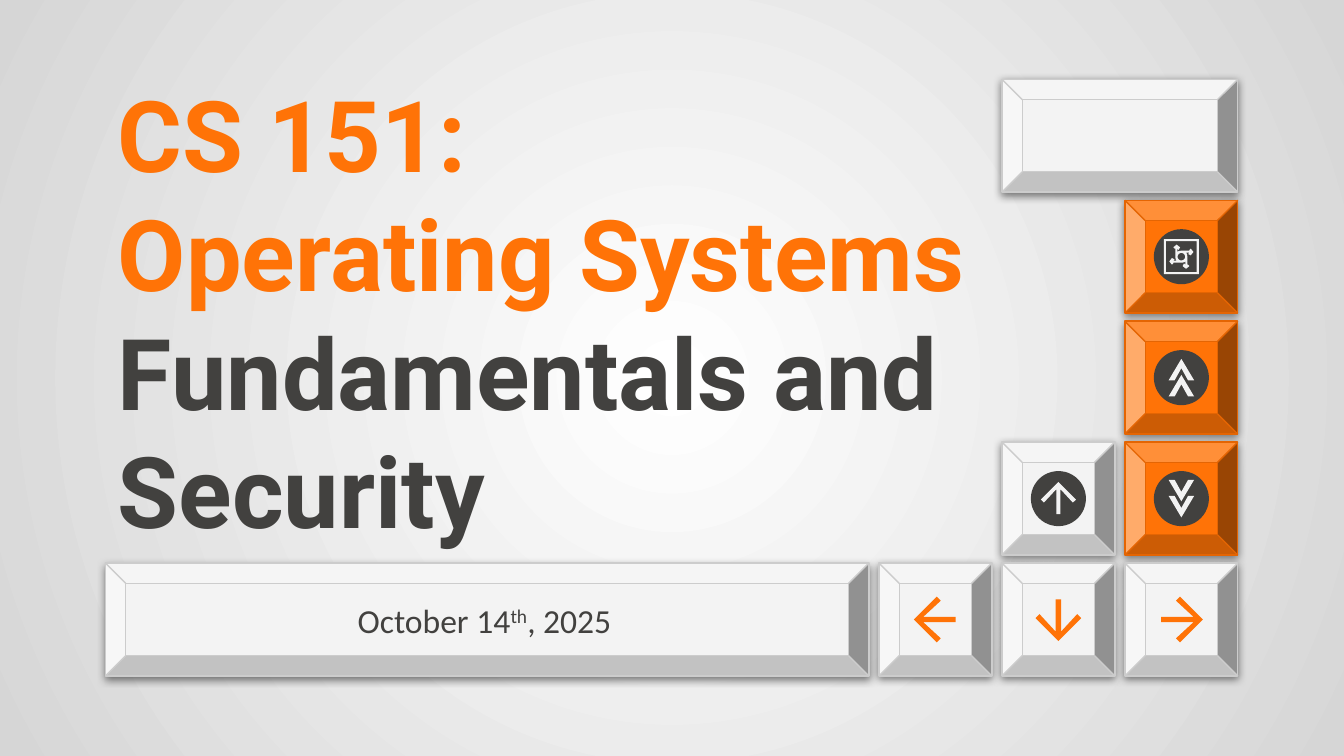
from dataclasses import dataclass
from math import cos, pi, sin
from typing import NamedTuple

from lxml.etree import SubElement
from pptx import Presentation
from pptx.dml.color import RGBColor
from pptx.enum.shapes import MSO_SHAPE
from pptx.enum.text import MSO_ANCHOR, PP_ALIGN
from pptx.oxml.ns import qn
from pptx.util import Inches, Pt

ORANGE, ORANGE_EDGE = "FF7307", "E46503"
LIGHT, LIGHT_EDGE = "F3F3F3", "CCCCCC"
DARK = "42413F"

# Keyboard grid: column 0, row 0 is the top left key of the block on the right
GRID_LEFT, GRID_TOP = 6.54, 0.59
KEY_SIZE = 0.84
COLUMN_PITCH = (8.37 - GRID_LEFT) / 2
ROW_PITCH = 0.9
BADGE_SIZE = 0.41

Contour = list[tuple[float, float]]


class Run(NamedTuple):
    text: str
    color: str
    superscript: bool = False


@dataclass
class Glyph:
    """Contours in hundredths of an inch around the key's centre."""
    contours: list[Contour]
    color: str = LIGHT
    quarter_turns: int = 0
    scale: float = 1.0


@dataclass
class Key:
    column: float
    row: int
    span: float = 1
    fill: str = LIGHT
    edge: str = LIGHT_EDGE
    badge: bool = False
    glyphs: tuple[Glyph, ...] = ()


def turn(points: Contour, quarters: int) -> Contour:
    for _ in range(quarters % 4):
        points = [(-y, x) for x, y in points]
    return points


def square(half: float) -> Contour:
    return [(-half, -half), (-half, half), (half, half), (half, -half)]


def circle(radius: float, steps: int = 24) -> Contour:
    return [(radius * cos(2 * pi * i / steps), radius * sin(2 * pi * i / steps))
            for i in range(steps)]


ARROW = [[(-1, -17), (-4, -14), (9, -2), (-15, -2), (-15, 2),
          (9, 2), (-4, 14), (-1, 17), (16, 0)]]
CHEVRON = [(-5, 2), (-9.5, 2), (0, -14), (9.5, 2), (5, 2), (0, -7)]
CHEVRONS = [CHEVRON, [(x, y + 12) for x, y in CHEVRON]]
FRAME = [square(13), square(11.5)[::-1]]
PINWHEEL_ARM = [(-3, -3.5), (-3, -6), (-2, -5), (-1, -7), (-3.5, -9), (-6, -7),
                (-5, -6), (-4.5, -6), (-4.5, 0), (-4.2, 2)]
PINWHEEL = [[point for arm in range(4) for point in turn(PINWHEEL_ARM, -arm)],
            circle(2.8)]

KEYS = [
    Key(-6.29, 4, span=6.29),
    Key(1, 0, span=2),
    Key(2, 1, fill=ORANGE, edge=ORANGE_EDGE, badge=True,
        glyphs=(Glyph(FRAME), Glyph(PINWHEEL))),
    Key(2, 2, fill=ORANGE, edge=ORANGE_EDGE, badge=True, glyphs=(Glyph(CHEVRONS),)),
    Key(2, 3, fill=ORANGE, edge=ORANGE_EDGE, badge=True,
        glyphs=(Glyph(CHEVRONS, quarter_turns=2),)),
    Key(1, 3, badge=True, glyphs=(Glyph(ARROW, quarter_turns=3, scale=0.77),)),
    Key(0, 4, glyphs=(Glyph(ARROW, ORANGE, quarter_turns=2),)),
    Key(1, 4, glyphs=(Glyph(ARROW, ORANGE, quarter_turns=1),)),
    Key(2, 4, glyphs=(Glyph(ARROW, ORANGE),)),
]


def rgb(value: str) -> RGBColor:
    return RGBColor.from_string(value)


def paint(shape, fill: str, edge: str | None = None) -> None:
    shape.shadow.inherit = False
    shape.fill.solid()
    shape.fill.fore_color.rgb = rgb(fill)
    if edge:
        shape.line.color.rgb = rgb(edge)
        shape.line.width = Pt(0.75)
    else:
        shape.line.fill.background()


def add_drop_shadow(shape) -> None:
    effects = shape._element.spPr.find(qn("a:effectLst"))
    shadow = SubElement(effects, qn("a:outerShdw"), blurRad=str(Pt(4.5)),
                        dist=str(Pt(1.5)), dir="5400000", algn="bl", rotWithShape="0")
    tint = SubElement(shadow, qn("a:srgbClr"), val="000000")
    SubElement(tint, qn("a:alpha"), val="50000")


def draw_glyph(slide, glyph: Glyph, center_x: float, center_y: float) -> None:
    unit = 0.01 * glyph.scale
    contours = [[(Inches(center_x + x * unit), Inches(center_y + y * unit))
                 for x, y in turn(contour, glyph.quarter_turns)]
                for contour in glyph.contours]
    builder = slide.shapes.build_freeform(*contours[0][0])
    builder.add_line_segments(contours[0][1:], close=True)
    for contour in contours[1:]:
        builder.move_to(*contour[0])
        builder.add_line_segments(contour[1:], close=True)
    paint(builder.convert_to_shape(), glyph.color)


def draw_key(slide, key: Key) -> None:
    left = GRID_LEFT + key.column * COLUMN_PITCH
    top = GRID_TOP + key.row * ROW_PITCH
    width = KEY_SIZE + (key.span - 1) * COLUMN_PITCH
    center_x, center_y = left + width / 2, top + KEY_SIZE / 2
    cap = slide.shapes.add_shape(MSO_SHAPE.BEVEL, Inches(left), Inches(top),
                                 Inches(width), Inches(KEY_SIZE))
    cap.adjustments[0] = 0.18
    paint(cap, key.fill, key.edge)
    add_drop_shadow(cap)
    if key.badge:
        badge = slide.shapes.add_shape(
            MSO_SHAPE.OVAL, Inches(center_x - BADGE_SIZE / 2),
            Inches(center_y - BADGE_SIZE / 2), Inches(BADGE_SIZE), Inches(BADGE_SIZE))
        paint(badge, DARK)
    for glyph in key.glyphs:
        draw_glyph(slide, glyph, center_x, center_y)


def add_text(slide, runs: list[Run], *, left: float, top: float, width: float,
             height: float, font: str, size: float, bold: bool = False,
             align: PP_ALIGN = PP_ALIGN.LEFT) -> None:
    """Add one paragraph; a newline in a run becomes a line break."""
    box = slide.shapes.add_textbox(Inches(left), Inches(top), Inches(width), Inches(height))
    frame = box.text_frame
    frame.word_wrap = True
    frame.vertical_anchor = MSO_ANCHOR.MIDDLE
    frame.margin_left = frame.margin_right = Inches(0.1)
    frame.margin_top = frame.margin_bottom = Inches(0.1)
    paragraph = frame.paragraphs[0]
    paragraph.alignment = align
    for part in runs:
        for index, line in enumerate(part.text.split("\n")):
            if index:
                paragraph.add_line_break()
            run = paragraph.add_run()
            run.text = line
            run.font.name, run.font.size, run.font.bold = font, Pt(size), bold
            run.font.color.rgb = rgb(part.color)
            if part.superscript:
                run._r.get_or_add_rPr().set("baseline", "30000")


def paint_background(slide) -> None:
    """Fill with a radial gradient, lightest in the centre."""
    fill = slide.background.fill
    fill.gradient()
    for stop, color in zip(fill.gradient_stops, ("FFFFFF", "D6D6D6")):
        stop.color.rgb = rgb(color)
    gradient = next(slide.element.iter(qn("a:gradFill")))
    gradient.remove(gradient.find(qn("a:lin")))
    radial = SubElement(gradient, qn("a:path"), path="circle")
    SubElement(radial, qn("a:fillToRect"), l="50000", t="50000", r="50000", b="50000")


def main() -> None:
    deck = Presentation()
    deck.slide_width = Inches(10)
    deck.slide_height = deck.slide_width * 9 // 16
    slide = deck.slides.add_slide(deck.slide_layouts[6])
    paint_background(slide)
    for key in KEYS:
        draw_key(slide, key)
    add_text(slide, [Run("October 14", DARK), Run("th", DARK, superscript=True),
                     Run(", 2025", DARK)],
             left=0.95, top=4.34, width=5.31, height=0.55,
             font="Calibri", size=18, align=PP_ALIGN.CENTER)
    add_text(slide, [Run("CS 151: \nOperating Systems", ORANGE),
                     Run(" Fundamentals and Security", DARK)],
             left=0.78, top=GRID_TOP, width=6.64, height=3.45,
             font="Roboto", size=53, bold=True)
    deck.save("out.pptx")


if __name__ == "__main__":
    main()
